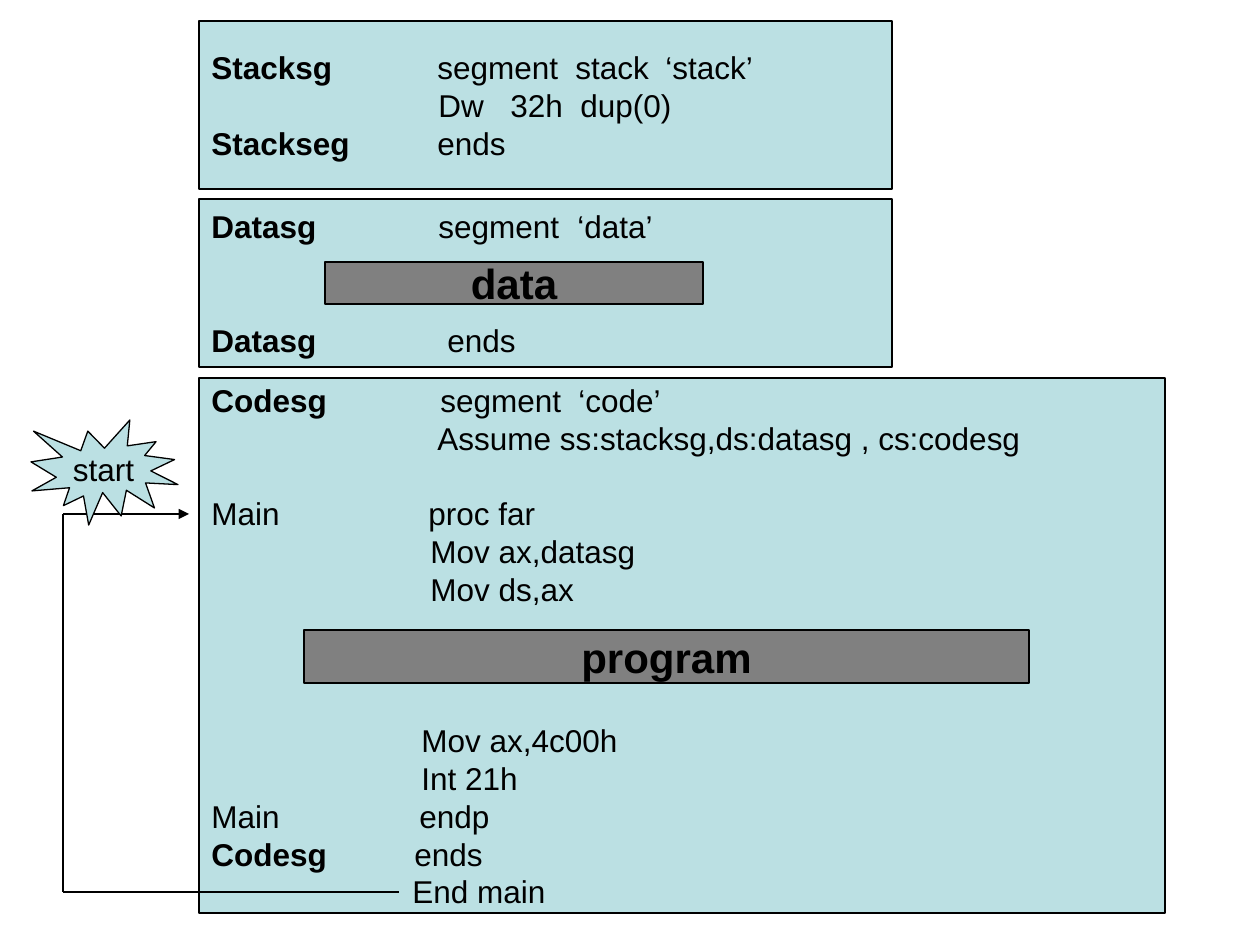
from lxml.etree import SubElement
from pptx import Presentation
from pptx.dml.color import RGBColor
from pptx.enum.shapes import MSO_CONNECTOR as CONN, MSO_SHAPE as SHAPE
from pptx.enum.text import MSO_ANCHOR as ANCHOR, PP_ALIGN as ALIGN
from pptx.oxml.ns import qn
from pptx.util import Pt

PX = 914400 / 126
TEXT_LEFT = 212
LINE = 21.6


def rgb(value):
    return RGBColor.from_string(value)


def add_box(kind, x, y, w, h, fill):
    sp = s.shapes.add_shape(kind, *[round(v * PX) for v in (x, y, w, h)])
    sp.shadow.inherit = False
    sp.fill.solid()
    sp.fill.fore_color.rgb = rgb(fill)
    sp.line.color.rgb = rgb("000000")
    sp.line.width = Pt(0.75)
    sp.text_frame.vertical_anchor = ANCHOR.MIDDLE
    return sp


prs = Presentation()
prs.slide_width = round(1260 * PX)
prs.slide_height = round(945 * PX)
s = prs.slides.add_slide(prs.slide_layouts[6])

segments = [
    ((199, 21, 693, 168), [
        (0, "Stacksg", [(438, "segment"), (576, "stack"), (666, "‘stack’")]),
        (0, "", [(439, "Dw"), (511, "32h"), (581, "dup(0)")]),
        (0, "Stackseg", [(438, "ends")]),
    ]),
    ((199, 199, 693, 168), [
        (0, "Datasg", [(439, "segment"), (578, "‘data’")]),
        (2, "Datasg", [(448, "ends")]),
    ]),
    ((199, 378, 966, 535), [
        (0, "Codesg", [(441, "segment"), (579, "‘code’")]),
        (0, "", [(438, "Assume ss:stacksg,ds:datasg , cs:codesg")]),
        (1, "Main", [(429, "proc far")]),
        (0, "", [(431, "Mov ax,datasg")]),
        (0, "", [(431, "Mov ds,ax")]),
        (3, "", [(422, "Mov ax,4c00h")]),
        (0, "", [(422, "Int 21h")]),
        (0, "Main", [(420, "endp")]),
        (0, "Codesg", [(415, "ends")]),
        (0, "", [(413, "End main")]),
    ]),
]

for frame, rows in segments:
    tf = add_box(SHAPE.RECTANGLE, *frame, "BBE0E3").text_frame
    tf.word_wrap = True
    for i, (gap, label, cells) in enumerate(rows):
        p = tf.add_paragraph() if i else tf.paragraphs[0]
        tabs = SubElement(p._p.get_or_add_pPr(), qn("a:tabLst"))
        for x, _ in cells:
            SubElement(tabs, qn("a:tab"), pos=str(round((x - TEXT_LEFT) * PX)), algn="l")
        p.alignment = ALIGN.LEFT
        p.line_spacing = Pt(LINE)
        p.space_before = Pt(gap * LINE)
        code = "".join("\t" + text for _, text in cells)
        for text, bold in ((label, label != "Main"), (code, False)):
            if text:
                r = p.add_run()
                r.text = text
                r.font.name = "Arial"
                r.font.size = Pt(18)
                r.font.bold = bold
                r.font.color.rgb = rgb("000000")

route = [(399, 892), (63, 892), (63, 514), (189, 514)]
for start, end in zip(route, route[1:]):
    ends = [round(v * PX) for v in start + end]
    cn = s.shapes.add_connector(CONN.STRAIGHT, *ends)
    cn.line.color.rgb = rgb("000000")
    cn.line.width = Pt(0.75)
    if end == route[-1]:
        SubElement(cn.line._get_or_add_ln(), qn("a:tailEnd"), type="triangle")
    SubElement(cn._element.spPr, qn("a:effectLst"))

labels = [
    (SHAPE.RECTANGLE, (304, 630, 725, 53), "808080", "program", 24, True),
    (SHAPE.RECTANGLE, (325, 262, 378, 42), "808080", "data", 24, True),
    (SHAPE.EXPLOSION1, (31, 420, 147, 105), "BBE0E3", "start", 18, False),
]
for kind, frame, fill, text, size, bold in labels:
    tf = add_box(kind, *frame, fill).text_frame
    tf.word_wrap = False
    p = tf.paragraphs[0]
    p.alignment = ALIGN.CENTER
    r = p.add_run()
    r.text = text
    r.font.name = "Arial"
    r.font.size = Pt(size)
    r.font.bold = bold
    r.font.color.rgb = rgb("000000")

prs.save("out.pptx")
